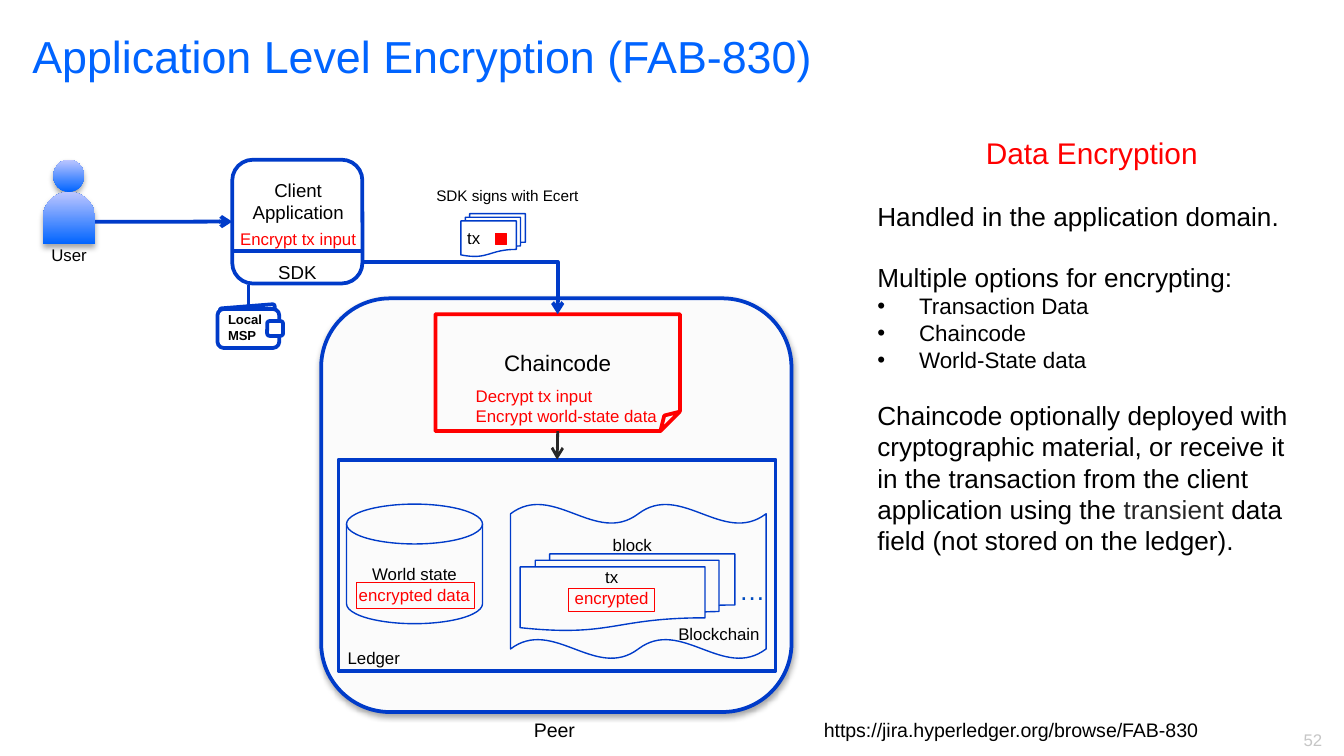
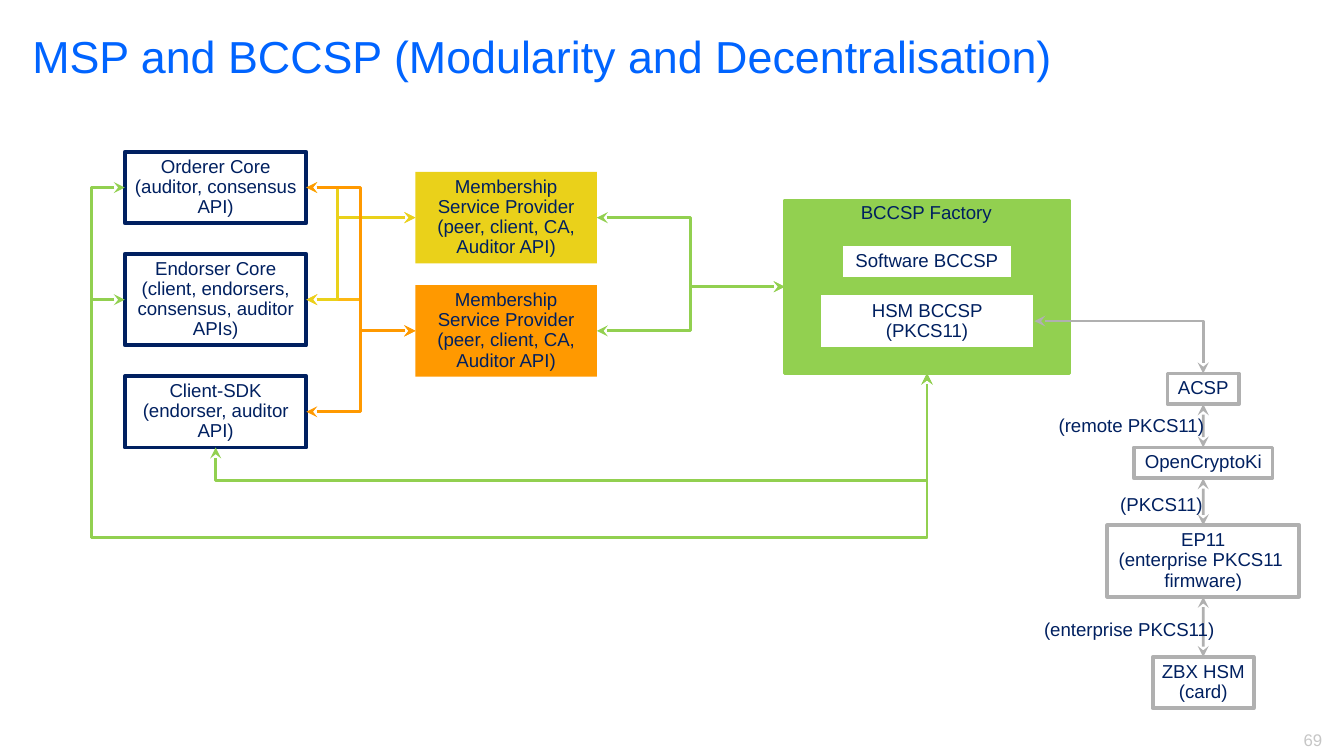
import lxml.etree
import pptx
import pptx.dml.color
import pptx.enum.shapes
import pptx.enum.text
import pptx.oxml.ns
import pptx.util

Cm = pptx.util.Cm
Pt = pptx.util.Pt
qn = pptx.oxml.ns.qn
SHAPE = pptx.enum.shapes.MSO_SHAPE
CONNECTOR = pptx.enum.shapes.MSO_CONNECTOR
LEFT, CENTER, RIGHT = (pptx.enum.text.PP_ALIGN.LEFT, pptx.enum.text.PP_ALIGN.CENTER,
                       pptx.enum.text.PP_ALIGN.RIGHT)
TOP, MIDDLE = pptx.enum.text.MSO_ANCHOR.TOP, pptx.enum.text.MSO_ANCHOR.MIDDLE

FONT = "Arial"
COLORS = {
    "title": "0064FF", "page": "C6C6C6", "black": "000000", "white": "FFFFFF",
    "blue": "003BC9", "dots": "004BBF", "light": "BDC6FF", "red": "FF0000",
    "panel": "FBFBFB", "dark": "272727", "navy": "002060", "gray": "B0B0B0",
    "green": "92D050", "yellow": "EAD11A", "amber": "FDB813", "orange": "FF9900",
}
INSET = (0.25, 0.13)
TIGHT = (0.18, 0.1)


# Shared helpers; every area is (left, top, width, height) in centimetres
def rgb(name):
    return pptx.dml.color.RGBColor.from_string(COLORS[name])


def inside(box, left, top, width, height):
    return box[0] + left, box[1] + top, width, height


def edge(box, side):
    left, top, width, height = box
    return {"left": (left, top + height / 2), "right": (left + width, top + height / 2),
            "top": (left + width / 2, top), "bottom": (left + width / 2, top + height)}[side]


def add_element(parent, tag, **attributes):
    element = lxml.etree.SubElement(parent, qn(tag))
    for name, value in attributes.items():
        element.set(name, str(value))
    return element


def write_text(shape, paragraphs, size=9, color="black", align=LEFT, anchor=TOP, wrap=False,
               inset=INSET, spacing=1.0, bold=False):
    """Each paragraph is a string or a dict with runs and its own format."""
    frame = shape.text_frame
    frame.auto_size = pptx.enum.text.MSO_AUTO_SIZE.NONE
    frame.word_wrap = wrap
    frame.vertical_anchor = anchor
    frame.margin_left = frame.margin_right = Cm(inset[0])
    frame.margin_top = frame.margin_bottom = Cm(inset[1])
    for index, item in enumerate(paragraphs):
        item = item if isinstance(item, dict) else {"runs": [(item, color)]}
        paragraph = frame.paragraphs[0] if index == 0 else frame.add_paragraph()
        if shape.is_placeholder:
            properties = paragraph._p.get_or_add_pPr()
            indent = Cm(0.79) if item.get("bullet") else 0
            properties.set("marL", str(indent))
            properties.set("indent", str(-indent))
            if item.get("bullet"):
                add_element(properties, "a:buChar", char="•")
            else:
                add_element(properties, "a:buNone")
        paragraph.alignment = item.get("align", align)
        paragraph.line_spacing = spacing
        paragraph.space_before = Pt(item.get("before", 0))
        for text, run_color in item["runs"]:
            run = paragraph.add_run()
            run.text = text
            run.font.name = FONT
            run.font.size = Pt(item.get("size", size))
            run.font.bold = bold
            run.font.color.rgb = rgb(run_color)


def add_label(slide, area, *paragraphs, **text_format):
    label = slide.shapes.add_textbox(*map(Cm, area))
    write_text(label, paragraphs, **text_format)


def add_box(slide, kind, area, fill=None, line=None, weight=2, shadow=False):
    shape = slide.shapes.add_shape(kind, *map(Cm, area))
    shape.shadow.inherit = False
    if fill:
        shape.fill.solid()
        shape.fill.fore_color.rgb = rgb(fill)
    else:
        shape.fill.background()
    if line:
        shape.line.color.rgb = rgb(line)
        shape.line.width = Pt(weight)
    else:
        shape.line.fill.background()
    if shadow:
        effects = shape._element.spPr.find(qn("a:effectLst"))
        outer = add_element(effects, "a:outerShdw", blurRad=Pt(3.1), dist=Pt(1.8),
                            dir=5400000, rotWithShape=0)
        add_element(add_element(outer, "a:srgbClr", val=COLORS["black"]), "a:alpha", val=35000)
    return shape


def add_line(slide, begin, end, color, weight=1.5, head=None, tail=None,
             kind=CONNECTOR.STRAIGHT):
    connector = slide.shapes.add_connector(kind, *map(Cm, (*begin, *end)))
    connector.line.color.rgb = rgb(color)
    connector.line.width = Pt(weight)
    properties = connector._element.spPr
    outline = properties.find(qn("a:ln"))
    for tag, arrow in (("a:headEnd", head), ("a:tailEnd", tail)):
        if arrow:
            add_element(outline, tag, type=arrow)
    add_element(properties, "a:effectLst")
    return connector


def add_elbow(slide, begin, end, color, bends=(), vertical=False, **line_format):
    """Bends are the x (then y) of the inner segments; vertical starts along y."""
    start, stop = begin, end
    if vertical:
        middle = [(a + b) / 2 for a, b in zip(begin, end)]
        across, down = begin[0] - middle[0], begin[1] - middle[1]
        start = middle[0] + down, middle[1] - across
        stop = middle[0] - down, middle[1] + across
    connector = add_line(slide, start, stop, color, kind=CONNECTOR.ELBOW, **line_format)
    properties = connector._element.spPr
    if vertical:
        properties.find(qn("a:xfrm")).set("rot", "5400000")
    geometry = properties.find(qn("a:prstGeom"))
    geometry.set("prst", f"bentConnector{len(bends) + 2}")
    for child in list(geometry):
        geometry.remove(child)
    guides = add_element(geometry, "a:avLst")
    for index, bend in enumerate(bends):
        axis = 1 if vertical else index
        ratio = (bend - begin[axis]) / (end[axis] - begin[axis])
        add_element(guides, "a:gd", name=f"adj{index + 1}", fmla=f"val {round(ratio * 100000)}")


def move(shape, area):
    shape.left, shape.top, shape.width, shape.height = map(Cm, area)


def start_slide(presentation, layout, title, page):
    slide = presentation.slides.add_slide(presentation.slide_layouts[layout])
    move(slide.shapes.title, (0.36, 0.41, 21.59, 2.82))
    write_text(slide.shapes.title, [title], size=24, color="title", wrap=True)
    add_label(slide, (23.77, 13.67, 1.47, 0.64), page, color="page", align=RIGHT, wrap=True)
    return slide


# Encryption slide regions
def draw_user(slide, box):
    head = add_box(slide, SHAPE.OVAL, inside(box, 0.2, 0, 0.58, 0.61), shadow=True)
    body = add_box(slide, SHAPE.ROUND_2_SAME_RECTANGLE, inside(box, 0, 0.61, 0.99, 0.99),
                   shadow=True)
    body.adjustments[0] = 0.5
    for part in (head, body):
        part.fill.gradient()
        part.fill.gradient_angle = 90
        for stop, color in zip(part.fill.gradient_stops, ("title", "light")):
            stop.color.rgb = rgb(color)
    add_label(slide, inside(box, -0.23, 1.47, 1.45, 0.64), "User", align=CENTER, wrap=True)


def draw_client(slide, box):
    add_box(slide, SHAPE.ROUNDED_RECTANGLE, box, line="blue")
    divider = box[1] + 1.73
    add_line(slide, (box[0], divider), (box[0] + box[2], divider), "blue", 2)
    add_label(slide, inside(box, -0.23, 0.23, 2.95, 1.12), "Client", "Application",
              size=10, align=CENTER, wrap=True)
    add_label(slide, inside(box, -0.1, 1.17, 2.7, 0.64), "Encrypt tx input", color="red")
    add_label(slide, inside(box, 0.48, 1.78, 1.5, 0.69), "SDK", size=10, align=CENTER)


def draw_wallet(slide, box):
    add_line(slide, (box[0] + 0.59, box[1] - 0.41), (box[0] + 0.59, box[1] + 0.08), "blue")
    wallet = {"fill": "white", "line": "blue"}
    flap = add_box(slide, SHAPE.ROUNDED_RECTANGLE, inside(box, 0.05, 0, 1.04, 0.23), **wallet)
    flap.rotation = -4.6
    add_box(slide, SHAPE.ROUNDED_RECTANGLE, inside(box, 0, 0.05, 1.17, 0.74), **wallet)
    add_label(slide, inside(box, -0.05, -0.03, 1.42, 0.86), "Local", "MSP", size=7, bold=True)
    add_box(slide, SHAPE.ROUNDED_RECTANGLE, inside(box, 0.94, 0.28, 0.3, 0.28), **wallet)


def draw_signed_transaction(slide, box):
    add_label(slide, inside(box, -1.52, -0.64, 4.8, 0.61), "SDK signs with Ecert",
              size=8.2, align=CENTER, wrap=True)
    add_box(slide, SHAPE.FLOWCHART_MULTIDOCUMENT, box, line="blue", weight=0.75)
    add_label(slide, inside(box, -0.13, 0.13, 0.79, 0.64), "tx")
    add_box(slide, SHAPE.RECTANGLE, inside(box, 0.66, 0.38, 0.2, 0.2), "red", "red", 0.5)


def draw_peer(slide, box):
    add_box(slide, SHAPE.ROUNDED_RECTANGLE, box, "panel", "blue", shadow=True)
    add_label(slide, inside(box, 3.28, 7.8, 2.26, 0.71), "Peer", size=10.5, align=CENTER)

    # Chaincode
    chaincode = inside(box, 2.16, 0.3, 4.62, 2.21)
    shape = add_box(slide, SHAPE.FOLDED_CORNER, chaincode, line="red")
    write_text(shape, ["Chaincode"], size=12, align=CENTER, anchor=MIDDLE, inset=(0, 0.13))
    add_label(slide, inside(box, 2.67, 1.52, 4.06, 1.02), "Decrypt tx input",
              "Encrypt world-state data", color="red")

    # Ledger
    ledger = inside(box, 0.33, 3.05, 8.26, 3.99)
    add_box(slide, SHAPE.RECTANGLE, ledger, line="blue")
    add_label(slide, inside(box, 0.25, 6.48, 1.5, 0.64), "Ledger")
    add_line(slide, edge(chaincode, "bottom"), edge(ledger, "top"), "dark", tail="arrow")

    # World state
    state = add_box(slide, SHAPE.FLOWCHART_MAGNETIC_DISK, inside(box, 0.48, 3.89, 2.57, 2.26),
                    line="blue", weight=0.75)
    write_text(state, ["World state"], align=CENTER, anchor=MIDDLE, wrap=True)
    add_label(slide, inside(box, 0.46, 5.28, 2.69, 0.64), "encrypted data", color="red")

    # Blockchain
    for kind, area in ((SHAPE.DOUBLE_WAVE, (3.58, 3.89, 4.83, 2.92)),
                       (SHAPE.FLOWCHART_MULTIDOCUMENT, (3.76, 4.83, 4.06, 1.45))):
        add_box(slide, kind, inside(box, *area), line="blue", weight=0.75)
    add_label(slide, inside(box, 6.5, 6.02, 2.08, 0.64), "Blockchain")
    add_label(slide, inside(box, 5.26, 4.34, 1.3, 0.64), "block")
    add_label(slide, inside(box, 7.65, 5.08, 1.02, 0.86), "…", size=14, color="dots")
    add_label(slide, inside(box, 4.5, 4.95, 1.98, 1.02), "tx",
              {"runs": [("encrypted", "red")]}, align=CENTER)
    for frame in ((0.66, 5.38, 2.24, 0.48), (4.67, 5.49, 1.63, 0.43)):
        add_box(slide, SHAPE.RECTANGLE, inside(box, *frame), line="red", weight=0.5)
    return chaincode


def write_notes(slide, box):
    body = slide.placeholders[1]
    move(body, box)
    options = [{"runs": [(name, "black")], "size": 12, "bullet": True}
               for name in ("Transaction Data", "Chaincode", "World-State data")]
    write_text(body, [
        {"runs": [("Data Encryption", "red")], "size": 16, "align": CENTER},
        {"runs": [("Handled in the application domain.", "black")], "before": 16},
        {"runs": [("Multiple options for encrypting:", "black")], "before": 16},
        *options,
        {"runs": [("Chaincode optionally deployed with cryptographic material, or receive it in "
                   "the transaction from the client application using the ", "black"),
                  ("transient ", "dark"),
                  ("data field (not stored on the ledger).", "black")], "before": 14},
    ], size=14, wrap=True)


def build_encryption_slide(presentation):
    slide = start_slide(presentation, 1, "Application Level Encryption (FAB-830)", "52")
    client = (4.39, 3.02, 2.46, 2.34)
    chaincode = draw_peer(slide, (6.07, 5.64, 8.89, 7.82))
    draw_user(slide, (0.81, 3.02, 0.99, 1.6))
    draw_client(slide, client)
    draw_wallet(slide, (4.11, 5.79, 1.24, 0.79))
    draw_signed_transaction(slide, (8.71, 4.04, 1.22, 0.81))
    add_line(slide, (1.8, 4.19), edge(client, "left"), "blue", 2, tail="arrow")
    add_elbow(slide, (client[0] + client[2], 4.95), edge(chaincode, "top"), "blue",
              weight=2, tail="arrow")
    write_notes(slide, (16.33, 2.41, 8.61, 9.58))
    add_label(slide, (15.32, 13.44, 8.13, 0.71), "https://jira.hyperledger.org/browse/FAB-830",
              size=10.5, wrap=True)


# Modularity slide regions
MODULE_TEXT = {"size": 10, "color": "navy", "align": CENTER, "spacing": 0.9}
BOTH_ENDS = {"head": "stealth", "tail": "stealth"}


def draw_module(slide, area, *paragraphs, fill=None, line=None, weight=2, wrap=True, inset=TIGHT):
    shape = add_box(slide, SHAPE.RECTANGLE, area, fill, line, weight)
    write_text(shape, paragraphs, wrap=wrap, inset=inset, **MODULE_TEXT)
    return area


def draw_cores(slide, box):
    cores = []
    top = 0
    for height, name, users in ((1.35, "Orderer Core", "(auditor, consensus API)"),
                                (1.73, "Endorser Core",
                                 "(client, endorsers, consensus, auditor APIs)"),
                                (1.35, "Client-SDK", "(endorser, auditor API)")):
        cores.append(draw_module(slide, inside(box, 0, top, box[2], height), name, users,
                                 line="navy"))
        top += height + 0.58
    return cores


def draw_providers(slide, box):
    return [draw_module(slide, inside(box, 0, row * 2.14, box[2], 1.73),
                        "Membership Service Provider", "(peer, client, CA,", "Auditor API)",
                        fill=fill)
            for row, fill in enumerate(("yellow", "orange"))]


def draw_factory(slide, box):
    add_box(slide, SHAPE.RECTANGLE, box, "green", "green", 1.5)
    add_label(slide, inside(box, 0.2, -0.03, 4.95, 0.58), "BCCSP Factory", wrap=True,
              inset=TIGHT, **MODULE_TEXT)
    style = {"fill": "white", "line": "green", "weight": 1.5, "inset": INSET}
    draw_module(slide, inside(box, 1.07, 0.84, 3.23, 0.64), "Software BCCSP", wrap=False, **style)
    return draw_module(slide, inside(box, 0.66, 1.78, 4.06, 1.02), "HSM BCCSP (PKCS11)", **style)


def draw_hardware_chain(slide, box):
    axis = 3.23
    stages = [draw_module(slide, inside(box, axis - width / 2, top, width, height), *text,
                          line="gray", wrap=False)
              for top, width, height, text in (
                  (0, 1.35, 0.58, ["ACSP"]),
                  (1.4, 2.62, 0.58, ["OpenCryptoKi"]),
                  (2.87, 3.63, 1.35, ["EP11", "(enterprise PKCS11 ", "firmware)"]),
                  (5.36, 1.91, 0.97, ["ZBX HSM", "(card)"]))]
    for upper, lower in zip(stages, stages[1:]):
        add_line(slide, edge(upper, "bottom"), edge(lower, "top"), "gray", **BOTH_ENDS)
    for left, top, width, text in ((0.28, 0.71, 3.18, "(remote PKCS11)"),
                                   (1.45, 2.21, 1.98, "(PKCS11)"),
                                   (0, 4.57, 3.66, "(enterprise PKCS11)")):
        add_label(slide, inside(box, left, top, width, 0.58), text, inset=TIGHT, **MODULE_TEXT)
    return stages[0]


def build_modularity_slide(presentation):
    slide = start_slide(presentation, 5, "MSP and BCCSP (Modularity and Decentralisation)", "69")
    factory = (14.83, 3.78, 5.38, 3.28)
    acsp = draw_hardware_chain(slide, (19.51, 7.06, 5.05, 6.33))
    hsm = draw_factory(slide, factory)
    orderer, endorser, client = draw_cores(slide, (2.36, 2.87, 3.43, 5.59))
    yellow, orange = draw_providers(slide, (7.85, 3.25, 3.43, 3.87))

    # Links to the factory
    for core in (orderer, endorser):
        add_elbow(slide, edge(core, "left"), edge(factory, "bottom"), "green",
                  (1.73, 10.16), **BOTH_ENDS)
    add_elbow(slide, edge(client, "bottom"), edge(factory, "bottom"), "green", (9.09,),
              vertical=True, **BOTH_ENDS)
    for provider in (yellow, orange):
        add_elbow(slide, edge(provider, "right"), edge(factory, "left"), "green", (13.05,),
                  **BOTH_ENDS)
    add_elbow(slide, edge(hsm, "right"), edge(acsp, "top"), "gray", **BOTH_ENDS)

    # Links from the cores to their providers
    for core, provider, color, bend in ((orderer, yellow, "yellow", 6.38),
                                        (endorser, orange, "amber", 6.82),
                                        (client, orange, "orange", 6.82),
                                        (endorser, yellow, "yellow", 6.38),
                                        (orderer, orange, "orange", 6.82)):
        add_elbow(slide, edge(core, "right"), edge(provider, "left"), color, (bend,), **BOTH_ENDS)


def main():
    presentation = pptx.Presentation()
    presentation.slide_width, presentation.slide_height = Cm(25.4), Cm(14.29)
    build_encryption_slide(presentation)
    build_modularity_slide(presentation)
    presentation.save("out.pptx")


if __name__ == "__main__":
    main()
